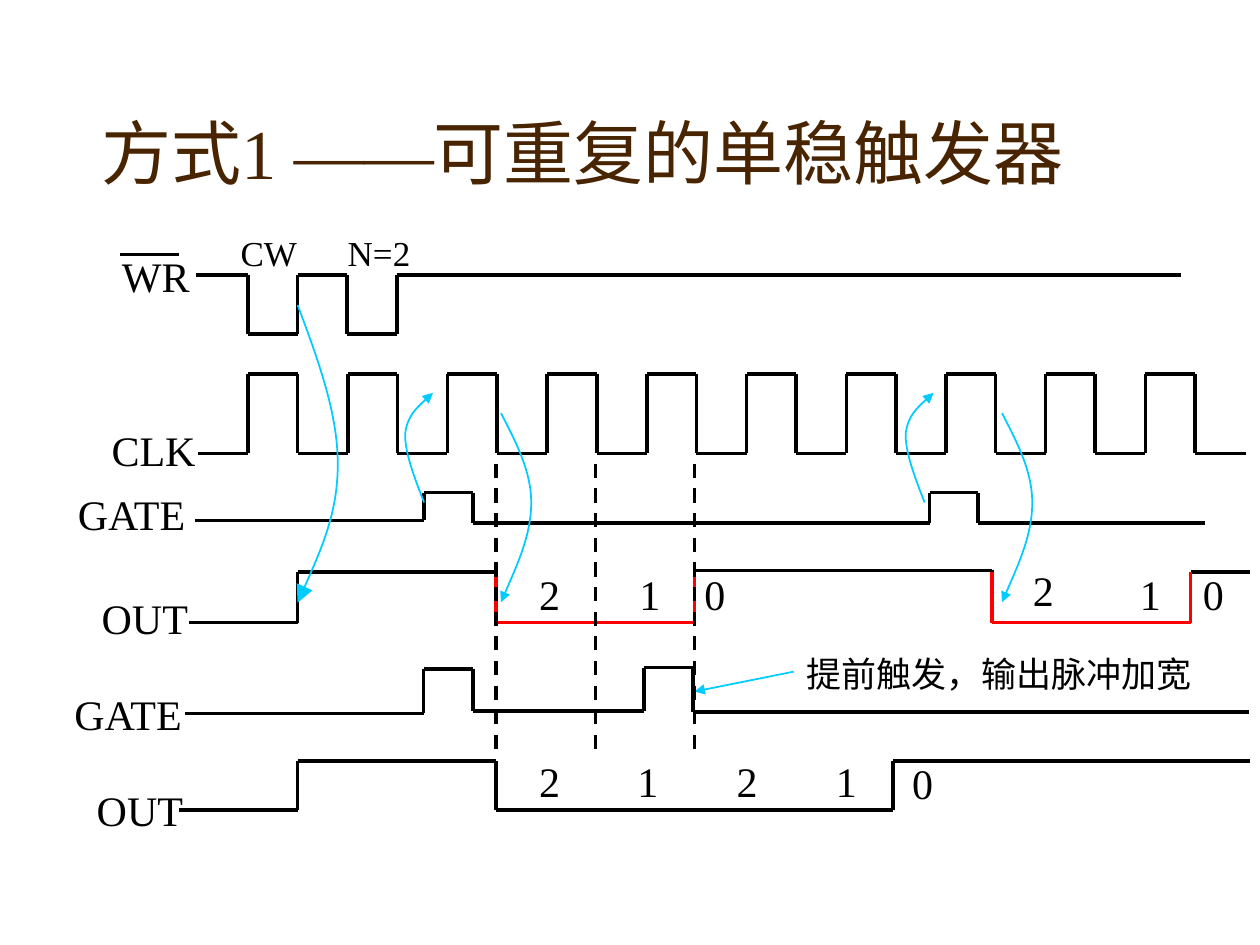
from itertools import pairwise

from lxml import etree
from pptx import Presentation
from pptx.dml.color import RGBColor
from pptx.enum import dml, shapes, text
from pptx.oxml import ns
from pptx.util import Cm, Pt

BLACK, RED, CYAN, BROWN = "000000", "FF0000", "00CCFF", "482400"


def style_line(shape, colour, width, dash=None, arrow=None):
    """Outline without shadow; arrow is the size of the end head (med or lg)."""
    shape.line.color.rgb = RGBColor.from_string(colour)
    shape.line.width = Pt(width)
    if dash:
        shape.line.dash_style = dash
    properties = shape._element.spPr
    if arrow:
        etree.SubElement(properties.find(ns.qn("a:ln")), ns.qn("a:tailEnd"),
                         type="triangle", w=arrow, len=arrow)
    etree.SubElement(properties, ns.qn("a:effectLst"))


def draw_trace(points, colour=BLACK, width=2, dash=None, arrow=None):
    """Join successive (x, y) points, in centimetres, with straight lines."""
    for (x1, y1), (x2, y2) in pairwise(points):
        segment = slide.shapes.add_connector(
            shapes.MSO_CONNECTOR.STRAIGHT, Cm(x1), Cm(y1), Cm(x2), Cm(y2))
        style_line(segment, colour, width, dash, arrow)


deck = Presentation()
deck.slide_width, deck.slide_height = Cm(25.4), Cm(19.05)
slide = deck.slides.add_slide(deck.slide_layouts[6])

# Each signal: starting x, end x, then (edge x, level after the edge)
clock_edges = []
for cycle in range(10):
    rise = 5 + 2.01 * cycle
    clock_edges += [(rise, 7.54), (rise + 1, 9.14)]

signals = [
    (3.96, 23.8, 5.54, [(5, 6.73), (6, 5.54), (7, 6.73), (8, 5.54)]),
    (4, 25.12, 9.14, clock_edges),
    (3.94, 24.3, 10.49, [(8.55, 9.93), (9.54, 10.54), (18.74, 9.93), (19.71, 10.54)]),
    (3.81, 25.2, 12.55, [(6, 11.53), (10, 12.55), (14, 11.5), (20, 12.55), (24, 11.53)]),
    (3.73, 25.17, 14.38, [(8.54, 13.49), (9.53, 14.33), (12.98, 13.46), (13.97, 14.35)]),
    (3.61, 25.2, 16.33, [(6, 15.34), (10, 16.33), (18, 15.34)]),
]
for start, end, level, edges in signals:
    points = [(start, level)]
    for x, next_level in edges:
        points += [(x, level), (x, next_level)]
        level = next_level
    draw_trace(points + [(end, level)])

draw_trace([(2.41, 5.13), (3.61, 5.13)])  # bar over WR

# Text: left, top, width, height, size, colour
labels = [
    ("方式1 ——可重复的单稳触发器", 1.8, 0.85, 22.6, 3.17, 40, BROWN),
    ("提前触发，输出脉冲加宽", 16, 13.02, 8.6, 1.08, 20, BLACK),
]
for name, x, y in [("WR", 2.21, 4.93), ("CLK", 2, 8.43), ("GATE", 1.32, 9.73),
                   ("OUT", 1.8, 11.81), ("GATE", 1.25, 13.75), ("OUT", 1.7, 15.7)]:
    labels.append((name, x, y, 3.6, 1.26, 24, BLACK))
for name, x in [("CW", 4.6), ("N=2", 6.76)]:
    labels.append((name, x, 4.54, 3.6, 1.08, 20, BLACK))
for count, x, y in [
        ("2", 10.62, 11.33), ("1", 12.64, 11.33), ("0", 13.95, 11.33),
        ("2", 20.57, 11.25), ("1", 22.73, 11.33), ("0", 24, 11.33),
        ("2", 10.62, 15.11), ("1", 12.6, 15.11), ("2", 14.6, 15.11),
        ("1", 16.6, 15.11), ("0", 18.14, 15.14)]:
    labels.append((count, x, y, 0.8, 1.26, 24, BLACK))

for wording, x, y, width, height, size, colour in labels:
    frame = slide.shapes.add_textbox(Cm(x), Cm(y), Cm(width), Cm(height)).text_frame
    frame.word_wrap = True
    if size == 40:
        frame.vertical_anchor = text.MSO_ANCHOR.BOTTOM
    paragraph = frame.paragraphs[0]
    paragraph.text = wording
    paragraph.font.name = "Times New Roman"
    paragraph.font.size = Pt(size)
    paragraph.font.color.rgb = RGBColor.from_string(colour)

# Cause-and-effect arrows: Bezier points as offsets from the start
gate_to_clock = [(-0.2, -0.51), (-0.4, -1.04), (-0.38, -1.4),
                 (-0.33, -1.75), (-0.08, -1.98), (0.18, -2.21)]
clock_to_out = [(0.3, 0.58), (0.61, 1.17), (0.61, 1.8),
                (0.61, 2.44), (0.3, 3.12), (0, 3.81)]
write_to_out = [(0.41, 1.09), (0.81, 2.18), (0.81, 3.2),
                (0.81, 4.19), (0.41, 5.08), (0, 6)]
for x, y, offsets, head in [
        (8.55, 10.13, gate_to_clock, "med"), (10.1, 8.33, clock_to_out, "med"),
        (18.64, 10.13, gate_to_clock, "med"), (20.2, 8.33, clock_to_out, "med"),
        (6, 6.15, write_to_out, "lg")]:
    outline = slide.shapes.build_freeform(Cm(x), Cm(y))
    outline.add_line_segments([(Cm(x + dx), Cm(y + dy)) for dx, dy in offsets], close=False)
    curve = outline.convert_to_shape()
    curve.fill.background()
    style_line(curve, CYAN, 1, arrow=head)
    # Every three straight steps become one cubic Bezier
    steps = list(curve._element.iter(ns.qn("a:lnTo")))
    route = steps[0].getparent()
    for first in range(0, len(steps), 3):
        bezier = etree.SubElement(route, ns.qn("a:cubicBezTo"))
        for step in steps[first:first + 3]:
            bezier.append(step[0])
            route.remove(step)

draw_trace([(16, 13.54), (14, 13.94)], CYAN, 1, arrow="med")

for fall, rise in [(10, 14), (20, 24)]:
    draw_trace([(fall, 11.53), (fall, 12.55), (rise, 12.55), (rise, 11.53)], RED)
for x in (10, 12, 14):
    draw_trace([(x, 9.35), (x, 15.14)], dash=dml.MSO_LINE.DASH)

deck.save("out.pptx")
